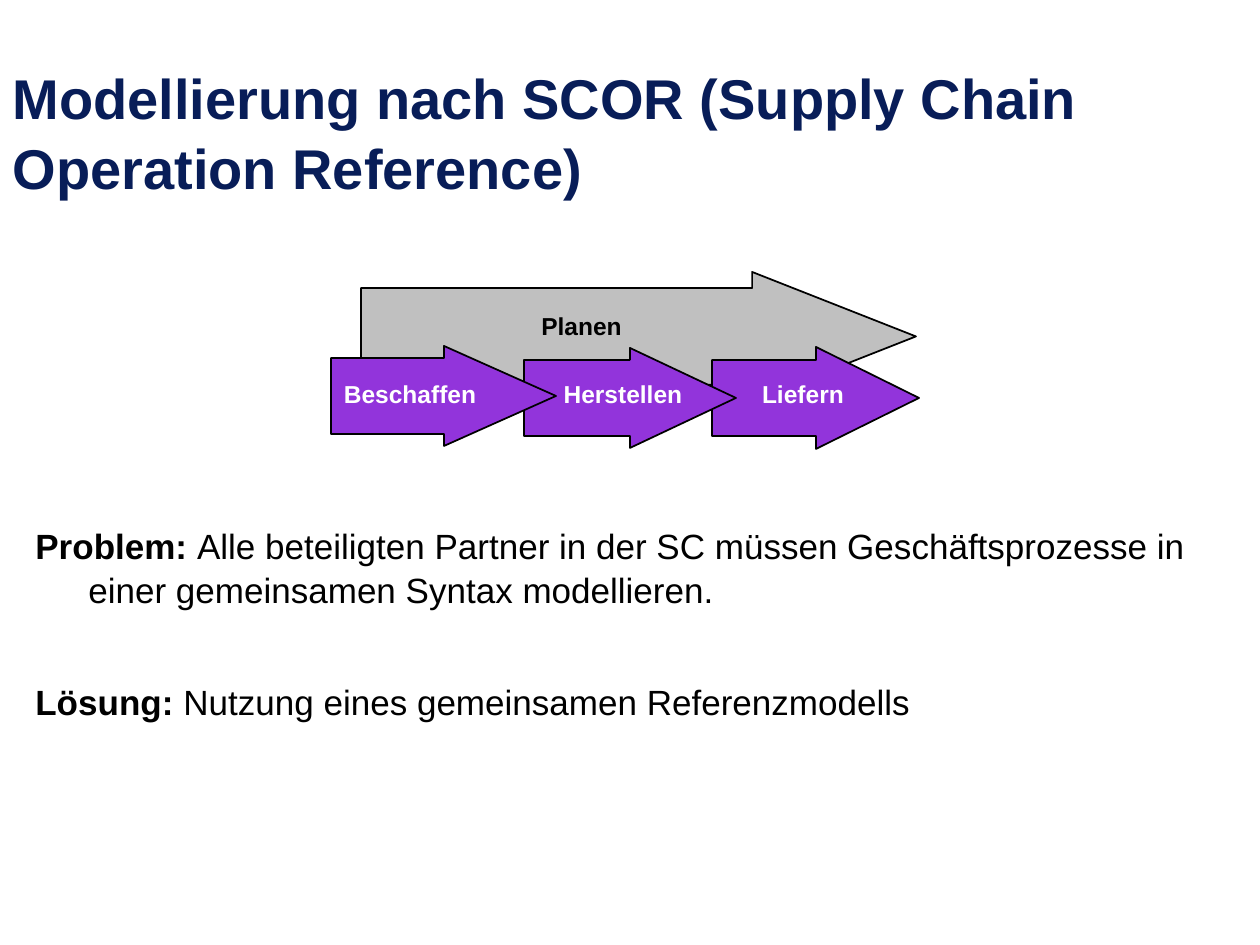
"""Build the SCOR slide: title, process arrows and two statements."""
from pptx import Presentation
from pptx import util as u
from pptx.dml.color import RGBColor
from pptx.enum import shapes, text

NAVY = RGBColor(0x08, 0x1D, 0x58)
BLACK = RGBColor(0, 0, 0)
WHITE = RGBColor(255, 255, 255)
GREY = RGBColor(0xC0, 0xC0, 0xC0)
PURPLE = RGBColor(0x92, 0x34, 0xDB)
SCALE = 914400 / 126


def px(*lengths):
    return [u.Emu(round(length * SCALE)) for length in lengths]


def add_run(paragraph, words, size, color, bold=True):
    run = paragraph.add_run()
    run.text = words
    values = {"name": "Arial", "size": u.Pt(size), "bold": bold}
    for name, value in values.items():
        setattr(run.font, name, value)
    run.font.color.rgb = color


presentation = Presentation()
presentation.slide_width, presentation.slide_height = px(1260, 945)
slide = presentation.slides.add_slide(presentation.slide_layouts[5])

title = slide.shapes.title
title.left, title.top, title.width, title.height = px(0, 68, 1215, 139)
title.text_frame.vertical_anchor = text.MSO_ANCHOR.BOTTOM
title.text_frame.auto_size = text.MSO_AUTO_SIZE.NONE
heading = title.text_frame.paragraphs[0]
heading.alignment = text.PP_ALIGN.LEFT
heading.line_spacing = 1.04
add_run(heading, "Modellierung nach SCOR (Supply Chain Operation Reference)", 32, NAVY)

plan = slide.shapes.add_shape(shapes.MSO_SHAPE.RIGHT_ARROW, *px(361, 272, 555, 129))
plan.adjustments[0], plan.adjustments[1] = 0.75, 1.27
arrows = [(plan, GREY)]

for left, top, width, height in [
    (712, 347, 207, 102),
    (524, 348, 212, 100),
    (331, 346, 225, 100),
]:
    neck, right, bottom = left + width / 2, left + width, top + height
    upper, lower = top + height / 8, bottom - height / 8
    builder = slide.shapes.build_freeform(neck, top, scale=SCALE)
    builder.add_line_segments(
        [(neck, upper), (left, upper), (left, lower), (neck, lower),
         (neck, bottom), (right, top + height / 2)]
    )
    arrows.append((builder.convert_to_shape(), PURPLE))

for arrow, color in arrows:
    arrow.shadow.inherit = False
    arrow.fill.solid()
    arrow.fill.fore_color.rgb = color
    arrow.line.color.rgb = BLACK
    arrow.line.width = u.Pt(1)

for words, left, top, width, color in [
    ("Planen", 420, 305, 323, BLACK),
    ("Beschaffen", 301, 373, 218, WHITE),
    ("Herstellen", 527, 373, 192, WHITE),
    ("Liefern", 732, 373, 142, WHITE),
]:
    label = slide.shapes.add_textbox(*px(left, top, width, 42))
    label.text_frame.word_wrap = True
    paragraph = label.text_frame.paragraphs[0]
    paragraph.alignment = text.PP_ALIGN.CENTER
    add_run(paragraph, words, 14, color)

body = slide.shapes.add_textbox(*px(23, 517, 1210, 314)).text_frame
body.word_wrap = True
statements = [
    ("Problem: ", "Alle beteiligten Partner in der SC müssen Geschäftsprozesse "
     "in einer gemeinsamen Syntax modellieren.", 0),
    ("Lösung: ", "Nutzung eines gemeinsamen Referenzmodells", 39),
]
for index, (term, statement, gap) in enumerate(statements):
    paragraph = body.add_paragraph() if index else body.paragraphs[0]
    paragraph.space_before = u.Pt(gap)
    paragraph.line_spacing = 1.04
    properties = paragraph._p.get_or_add_pPr()
    indent = px(53)[0]
    properties.set("marL", str(indent))
    properties.set("indent", str(-indent))
    add_run(paragraph, term, 20, BLACK)
    add_run(paragraph, statement, 20, BLACK, bold=False)

presentation.save("out.pptx")
